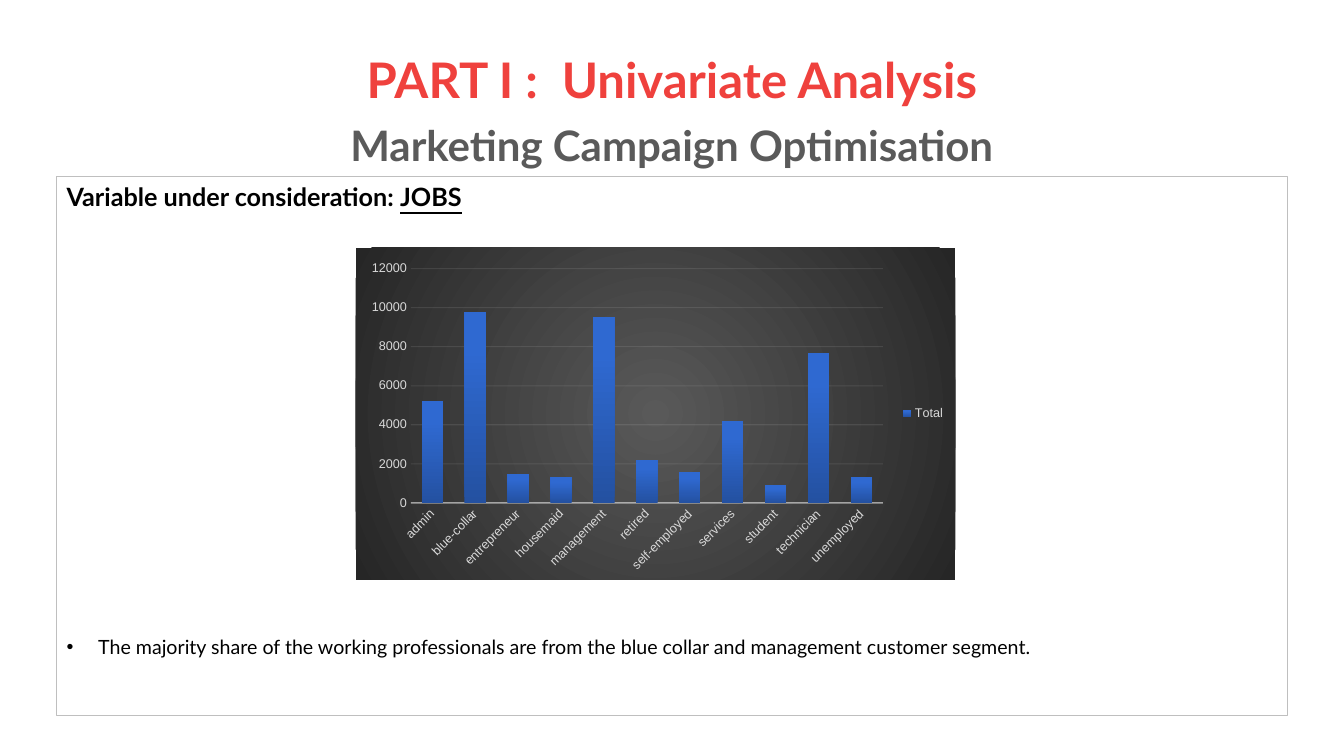
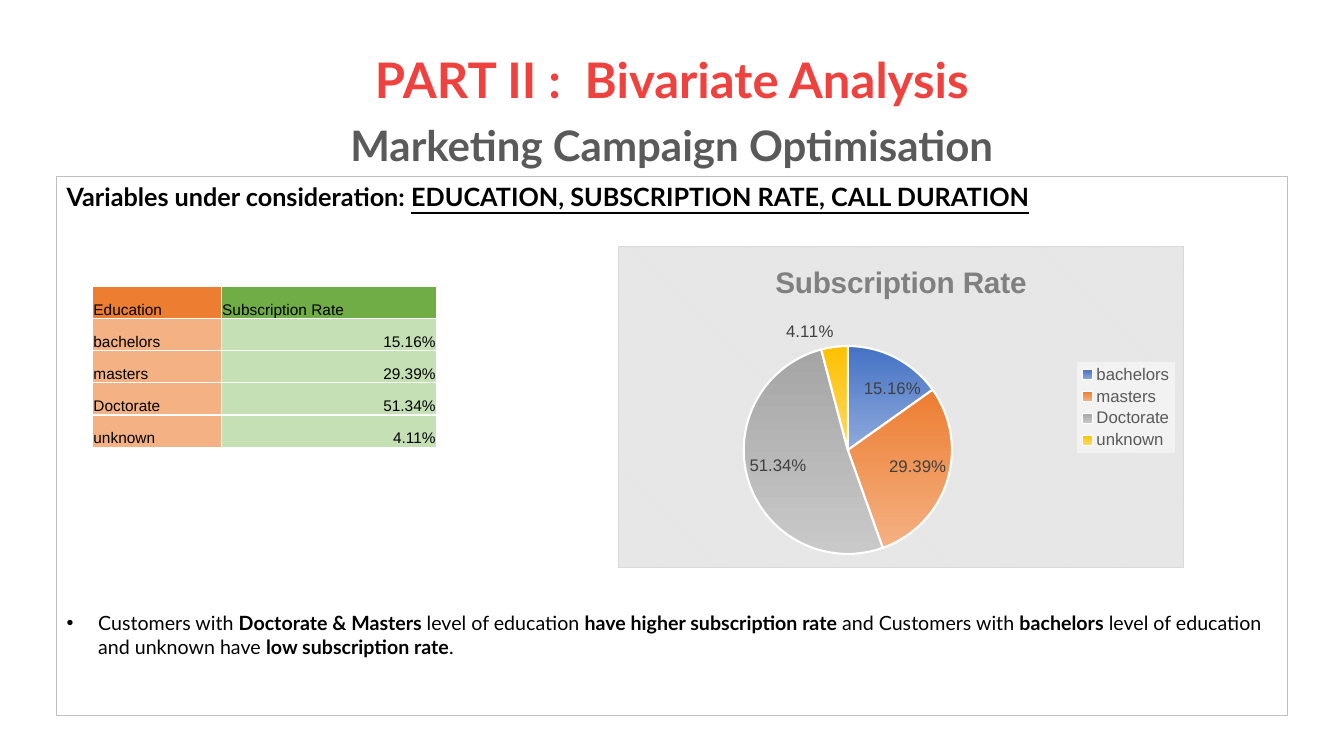
from lxml.etree import SubElement
from pptx import Presentation
from pptx.chart.data import CategoryChartData
from pptx.dml.color import RGBColor
from pptx.enum.chart import XL_CHART_TYPE, XL_LABEL_POSITION, XL_LEGEND_POSITION, XL_TICK_MARK
from pptx.enum.shapes import MSO_SHAPE
from pptx.enum.text import MSO_ANCHOR, PP_ALIGN
from pptx.oxml import parse_xml
from pptx.oxml.ns import nsdecls, qn
from pptx.util import Pt

TITLE_FONT, DATA_FONT = "Lato", "Arial"
RED, GREY, BLACK, WHITE = "EF413D", "5A5A5A", "000000", "FFFFFF"
FRAME_LINE, PALE = "BFBFBF", "F2F2F2"
SUBTITLE = "Marketing Campaign Optimisation"
BLANK_LINE = 16.8

JOBS = {
    "admin": 5200, "blue-collar": 9800, "entrepreneur": 1500, "housemaid": 1300,
    "management": 9500, "retired": 2200, "self-employed": 1600, "services": 4200,
    "student": 900, "technician": 7700, "unemployed": 1300,
}
RATE_NAME = "Subscription Rate"
RATES = {"bachelors": 0.1516, "masters": 0.2939, "Doctorate": 0.5134, "unknown": 0.0411}
SLICE_COLOURS = [("4472C4", "8FAADC"), ("ED7D31", "F4B183"),
                 ("A5A5A5", "C9C9C9"), ("FFC000", "FFD966")]
HEADER_FILLS, BODY_FILLS = ("ED7D31", "70AD47"), ("F4B183", "C5E0B4")

JOBS_SLIDE = dict(
    title="PART I :  Univariate Analysis",
    heading="Variable under consideration: ", variables="JOBS", gap=18 * BLANK_LINE,
    finding=[("The majority share of the working professionals are from the blue collar "
              "and management customer segment.", False)])
EDUCATION_SLIDE = dict(
    title="PART II :  Bivariate Analysis",
    heading="Variables under consideration: ",
    variables="EDUCATION, SUBSCRIPTION RATE, CALL DURATION", gap=17 * BLANK_LINE,
    finding=[("Customers with ", False), ("Doctorate & Masters ", True),
             ("level of education ", False), ("have higher subscription rate ", True),
             ("and Customers with ", False), ("bachelors", True),
             (" level of education and unknown have ", False),
             ("low subscription rate", True), (".", False)])


def colour(value):
    return RGBColor.from_string(value)


def style(font, size, value, name=TITLE_FONT, bold=False):
    font.size, font.name, font.bold = Pt(size), name, bold
    font.color.rgb = colour(value)


def add_span(para, text, size, bold=False, underline=False):
    span = para.add_run()
    span.text = text
    style(span.font, size, BLACK, bold=bold)
    span.font.underline = underline


def add_bullet(para, indent):
    props = para._p.get_or_add_pPr()
    props.set("marL", str(Pt(indent)))
    props.set("indent", str(-Pt(indent)))
    SubElement(props, qn("a:buFont"), typeface=DATA_FONT)
    SubElement(props, qn("a:buChar"), char="•")


def add_page(deck, title, heading, variables, gap, finding):
    page = deck.slides.add_slide(deck.slide_layouts[5])
    box = page.shapes.title
    box.left, box.top, box.width, box.height = Pt(66), Pt(29), Pt(828), Pt(104)
    frame = box.text_frame
    frame.text = f"{title}\n{SUBTITLE}"
    frame.word_wrap, frame.vertical_anchor = True, MSO_ANCHOR.MIDDLE
    for para, size, value, before in zip(frame.paragraphs, (35, 30), (RED, GREY), (0, 11)):
        para.alignment, para.line_spacing, para.space_before = PP_ALIGN.CENTER, 0.9, Pt(before)
        style(para.runs[0].font, size, value, bold=True)

    panel = page.shapes.add_shape(MSO_SHAPE.RECTANGLE, Pt(40.5), Pt(126), Pt(879), Pt(385))
    panel.shadow.inherit = False
    panel.fill.background()
    panel.line.color.rgb, panel.line.width = colour(FRAME_LINE), Pt(0.75)
    frame = panel.text_frame
    frame.word_wrap, frame.vertical_anchor = True, MSO_ANCHOR.TOP
    head, bullet = frame.paragraphs[0], frame.add_paragraph()
    head.alignment = bullet.alignment = PP_ALIGN.LEFT
    add_span(head, heading, 18, bold=True)
    add_span(head, variables, 18, bold=True, underline=True)
    bullet.space_before = Pt(gap)
    add_bullet(bullet, 22.5)
    for text, bold in finding:
        add_span(bullet, text, 14, bold=bold)
    return page


def fill_gradient(fill, start, end, angle, end_position=1):
    fill.gradient()
    fill.gradient_angle = angle
    first, last = fill.gradient_stops
    first.color.rgb, last.color.rgb = colour(start), colour(end)
    last.position = end_position


def set_alpha(element, percent):
    for value in element.iter(qn("a:srgbClr")):
        SubElement(value, qn("a:alpha"), val=str(percent * 1000))


def shape_properties(inner):
    return parse_xml(f'<c:spPr {nsdecls("c", "a")}>{inner}</c:spPr>')


def solid(value):
    return f'<a:srgbClr val="{value}"/>'


def add_chart(page, kind, name, data, area, background, legend_size, legend_colour):
    """Add a one-series chart with a right-hand legend and a background given as XML."""
    chart_data = CategoryChartData()
    chart_data.categories = list(data)
    chart_data.add_series(name, list(data.values()))
    chart = page.shapes.add_chart(kind, *map(Pt, area), chart_data).chart
    style(chart.font, 10, BLACK, DATA_FONT)
    chart.has_title = False
    chart.has_legend = True
    chart.legend.position = XL_LEGEND_POSITION.RIGHT
    chart.legend.include_in_layout = False
    style(chart.legend.font, legend_size, legend_colour, DATA_FONT)
    chart.element.find(qn("c:chart")).addnext(shape_properties(background))
    return chart


def set_plot_area(chart, **fractions):
    area = chart.element.find(qn("c:chart")).find(qn("c:plotArea"))
    for layout in area.findall(qn("c:layout")):
        area.remove(layout)
    values = "".join(f'<c:{key} val="{value}"/>' for key, value in fractions.items())
    area.insert(0, parse_xml(
        f'<c:layout {nsdecls("c")}><c:manualLayout><c:layoutTarget val="inner"/>'
        f'<c:xMode val="edge"/><c:yMode val="edge"/>{values}</c:manualLayout></c:layout>'))


def add_jobs_chart(page):
    background = (
        f'<a:gradFill><a:gsLst><a:gs pos="0">{solid("595959")}</a:gs>'
        f'<a:gs pos="100000">{solid("262626")}</a:gs></a:gsLst><a:path path="circle">'
        '<a:fillToRect l="50000" t="50000" r="50000" b="50000"/></a:path></a:gradFill>'
        '<a:ln><a:noFill/></a:ln>')
    chart = add_chart(page, XL_CHART_TYPE.COLUMN_CLUSTERED, "Total", JOBS,
                      (254, 177, 428.5, 237), background, 9, "D9D9D9")
    set_plot_area(chart, x=0.092, y=0.063, w=0.787, h=0.706)
    plot = chart.plots[0]
    plot.gap_width, plot.overlap, plot.vary_by_categories = 100, -24, False
    fill_gradient(plot.series[0].format.fill, "2451A1", "2F69D1", 90, 0.8)

    jobs_axis, count_axis = chart.category_axis, chart.value_axis
    for axis in (jobs_axis, count_axis):
        axis.major_tick_mark = axis.minor_tick_mark = XL_TICK_MARK.NONE
        style(axis.tick_labels.font, 9, "D9D9D9", DATA_FONT)
    jobs_axis._element.find(qn("c:txPr")).find(qn("a:bodyPr")).set("rot", "-2700000")
    jobs_axis.format.line.color.rgb, jobs_axis.format.line.width = colour(PALE), Pt(1)
    set_alpha(jobs_axis._element.find(qn("c:spPr")), 54)
    count_axis.minimum_scale, count_axis.maximum_scale, count_axis.major_unit = 0, 12000, 2000
    count_axis.format.line.fill.background()
    grid = count_axis.major_gridlines.format.line
    grid.color.rgb, grid.width = colour(PALE), Pt(0.75)
    set_alpha(count_axis._element.find(qn("c:majorGridlines")), 10)


def add_rate_chart(page):
    background = (
        f'<a:pattFill prst="dkDnDiag"><a:fgClr>{solid("EBEBEB")}</a:fgClr>'
        f'<a:bgClr>{solid("E6E6E6")}</a:bgClr></a:pattFill>'
        f'<a:ln w="9525"><a:solidFill>{solid("D9D9D9")}</a:solidFill></a:ln>')
    chart = add_chart(page, XL_CHART_TYPE.PIE, RATE_NAME, RATES,
                      (441.5, 176, 404, 230), background, 12, "595959")
    chart.has_title = True
    chart.chart_title.text_frame.text = RATE_NAME
    style(chart.chart_title.text_frame.paragraphs[0].runs[0].font, 21.3, "808080",
          DATA_FONT, bold=True)
    chart.chart_title.include_in_layout = False
    chart.legend._element.find(qn("c:txPr")).addprevious(
        shape_properties(f"<a:solidFill>{solid(PALE)}</a:solidFill>"))
    plot = chart.plots[0]
    plot.vary_by_categories = True
    for number, (start, end) in enumerate(SLICE_COLOURS):
        part = plot.series[0].points[number].format
        fill_gradient(part.fill, start, end, 270)
        part.line.color.rgb, part.line.width = colour(WHITE), Pt(1.5)
    plot.has_data_labels = True
    labels = plot.data_labels
    labels.show_value, labels.show_percentage = True, False
    labels.number_format, labels.number_format_is_linked = "0.00%", False
    labels.position = XL_LABEL_POSITION.BEST_FIT
    style(labels.font, 12, "404040", DATA_FONT)


def add_borders(cell, value, width):
    props = cell._tc.get_or_add_tcPr()
    for side in ("lnL", "lnR", "lnT", "lnB"):
        line = SubElement(props, qn(f"a:{side}"), w=str(Pt(width)))
        line.append(parse_xml(f'<a:solidFill {nsdecls("a")}>{solid(value)}</a:solidFill>'))


def add_rate_table(page):
    rows = [("Education", RATE_NAME)] + [(name, f"{rate:.2%}") for name, rate in RATES.items()]
    widths, row_height = (92, 154), 23
    table = page.shapes.add_table(len(rows), len(widths), Pt(66), Pt(204.5), Pt(sum(widths)),
                                  Pt(row_height * len(rows))).table
    for column, width in zip(table.columns, widths):
        column.width = Pt(width)
    for r, row in enumerate(rows):
        table.rows[r].height = Pt(row_height)
        for c, text in enumerate(row):
            cell = table.cell(r, c)
            add_borders(cell, WHITE, 1)
            cell.fill.solid()
            cell.fill.fore_color.rgb = colour((BODY_FILLS if r else HEADER_FILLS)[c])
            cell.margin_left = cell.margin_right = cell.margin_top = Pt(0.75)
            cell.margin_bottom = 0
            cell.vertical_anchor = MSO_ANCHOR.BOTTOM
            cell.text = text
            para = cell.text_frame.paragraphs[0]
            para.alignment = PP_ALIGN.RIGHT if r and c else PP_ALIGN.LEFT
            style(para.runs[0].font, 11, BLACK, DATA_FONT)


def main():
    deck = Presentation()
    deck.slide_width, deck.slide_height = Pt(960), Pt(540)
    add_jobs_chart(add_page(deck, **JOBS_SLIDE))
    page = add_page(deck, **EDUCATION_SLIDE)
    add_rate_table(page)
    add_rate_chart(page)
    deck.save("out.pptx")


if __name__ == "__main__":
    main()
